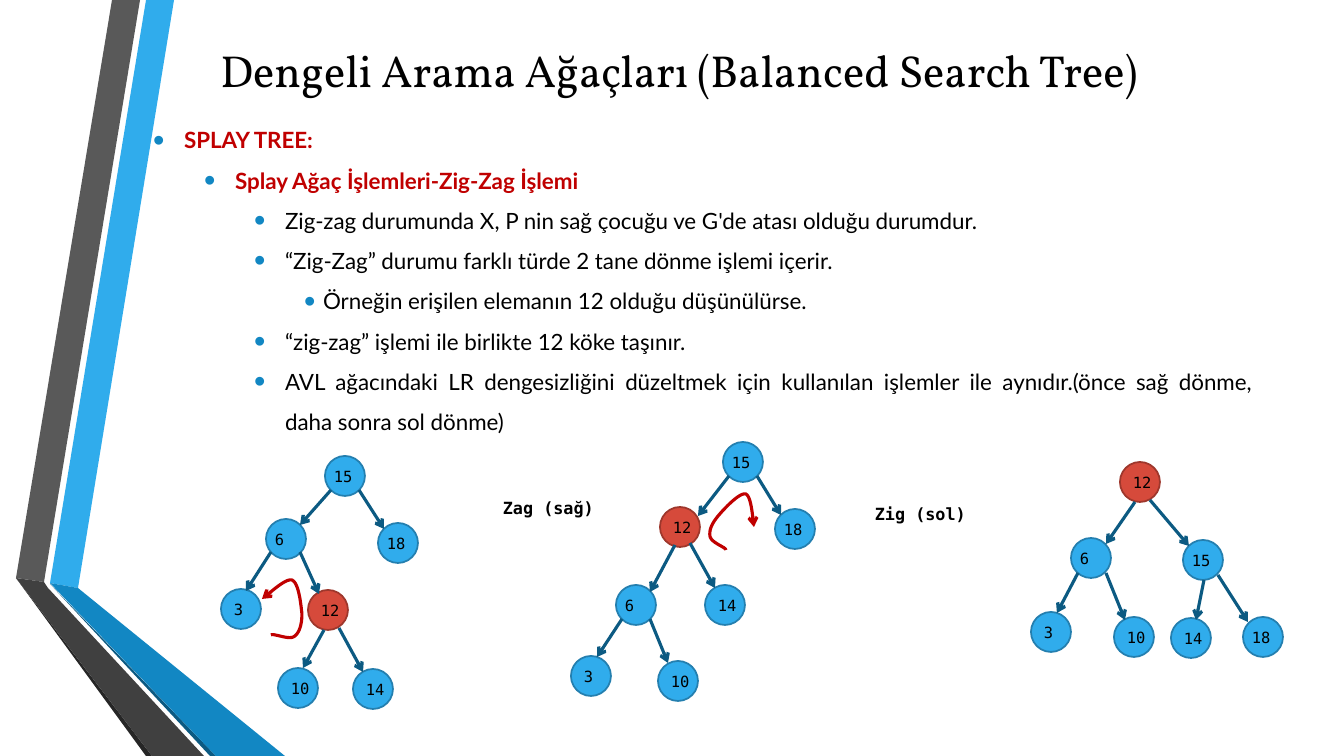
import pptx
import pptx.dml.color
import pptx.enum.shapes
import pptx.enum.text
import pptx.oxml
import pptx.oxml.ns
import pptx.util

# Content
TITLE = "Dengeli Arama Ağaçları (Balanced Search Tree)"
BULLETS = [  # level, text
    (0, "SPLAY TREE:"),
    (1, "Splay Ağaç İşlemleri-Zig-Zag İşlemi"),
    (2, "Zig-zag durumunda X, P nin sağ çocuğu ve G'de atası olduğu durumdur."),
    (2, "“Zig-Zag” durumu farklı türde 2 tane dönme işlemi içerir."),
    (3, "Örneğin erişilen elemanın 12 olduğu düşünülürse."),
    (2, "“zig-zag” işlemi ile birlikte 12 köke taşınır."),
    (2, "AVL ağacındaki LR dengesizliğini düzeltmek için kullanılan işlemler ile "
        "aynıdır.(önce sağ dönme, daha sonra sol dönme)"),
]
LEVEL_INDENTS = [(31, 31), (82, 31), (132, 31), (170, 19)]  # text indent, bullet hang
STEP_LABELS = [("Zag (sağ)", 493, 493), ("Zig (sol)", 865, 499)]

# Each tree: node centres, edges from parent to child, and the rotation arrow
TREES = [
    {
        "nodes": {15: (345, 476), 6: (286, 539), 18: (398, 543), 3: (241, 609),
                  12: (328, 610), 10: (298, 688), 14: (373, 689)},
        "edges": [(331, 490, 300, 525), (359, 490, 384, 529), (271, 552, 246, 591),
                  (300, 552, 319, 594), (324, 630, 303, 668), (339, 628, 363, 672)],
        "turn": [(271, 635), (274, 633), (290, 641), (295, 636), (300, 632), (302, 623),
                 (302, 614), (301, 605), (299, 583), (292, 580), (285, 578), (267, 596),
                 (262, 599)],
    },
    {
        "nodes": {15: (743, 462), 12: (680, 527), 18: (795, 529), 6: (636, 605),
                  14: (725, 605), 3: (591, 676), 10: (678, 681)},
        "edges": [(729, 476, 698, 516), (757, 476, 781, 515), (675, 545, 650, 592),
                  (690, 543, 715, 588), (622, 619, 597, 657), (650, 619, 668, 663)],
        "turn": [(726, 550), (726, 547), (711, 543), (710, 536), (709, 529), (713, 522),
                 (719, 515), (725, 508), (740, 492), (746, 494), (752, 497), (753, 522),
                 (754, 527)],
    },
    {
        "nodes": {12: (1140, 482), 6: (1091, 558), 15: (1203, 560), 3: (1051, 632),
                  10: (1134, 637), 14: (1191, 638), 18: (1263, 637)},
        "edges": [(1135, 502, 1106, 544), (1150, 500, 1189, 546), (1078, 573, 1057, 613),
                  (1106, 573, 1125, 620), (1204, 580, 1196, 620), (1218, 575, 1248, 622)],
        "turn": [],
    },
]
RIBBONS = [
    ("30ACEC", [(50, 583), (78, 588), (174, 0), (146, 0)]),
    ("595959", [(140, 0), (112, 0), (16, 578), (44, 582)]),
    ("262626", [(16, 578), (146, 756), (152, 756)]),
    ("0C5A82", [(50, 584), (210, 756), (216, 756)]),
    ("1287C3", [(50, 583), (216, 756), (285, 756), (78, 588)]),
    ("404040", [(204, 756), (48, 588), (44, 582), (16, 578), (152, 756)]),
]

# Style
BLACK, RED = "000000", "C00000"
MONO = "DejaVu Sans Mono"
NODE_COLORS = ("30ACEC", "247FAF")
ACCESSED, ACCESSED_COLORS = 12, ("D64A3B", "9E372C")
RADIUS = 20
LEFT_SET = (6, 15, 18)  # values written nearer the left of their node


def px(length):
    return pptx.util.Emu(round(length * 914400 / 100.8))


def color(hex_value):
    return pptx.dml.color.RGBColor.from_string(hex_value)


def write(paragraph, text, font, size, fill=BLACK, bold=False, align="LEFT"):
    paragraph.alignment = getattr(pptx.enum.text.PP_ALIGN, align)
    run = paragraph.add_run()
    run.text = text
    run.font.name, run.font.size, run.font.bold = font, pptx.util.Pt(size), bold
    run.font.color.rgb = color(fill)


def add_xml(parent, tag, **attributes):
    child = pptx.oxml.parse_xml(f"<a:{tag} {pptx.oxml.ns.nsdecls('a')}/>")
    for name, value in attributes.items():
        child.set(name, value)
    parent.append(child)
    return child


def place(shape, left, top, width, height):
    shape.left, shape.top, shape.width, shape.height = map(px, (left, top, width, height))


def style_line(line, hex_value, width, arrow=False):
    line.color.rgb = color(hex_value)
    line.width = pptx.util.Pt(width)
    if arrow:
        add_xml(line._get_or_add_ln(), "tailEnd", type="arrow")


def add_outline(points, close):
    points = [(px(x), px(y)) for x, y in points]
    builder = slide.shapes.build_freeform(*points[0])
    builder.add_line_segments(points[1:], close=close)
    shape = builder.convert_to_shape()
    shape.shadow.inherit = False
    return shape


def bezier_points(controls, steps=12):
    points = [controls[0]]
    for first in range(0, len(controls) - 1, 3):
        curve = controls[first:first + 4]
        for step in range(1, steps + 1):
            t = step / steps
            weights = ((1 - t) ** 3, 3 * t * (1 - t) ** 2, 3 * t * t * (1 - t), t ** 3)
            points.append(tuple(sum(w * p[axis] for w, p in zip(weights, curve))
                                for axis in (0, 1)))
    return points


def add_node(value, center_x, center_y):
    node = slide.shapes.add_shape(
        pptx.enum.shapes.MSO_SHAPE.OVAL, px(center_x - RADIUS), px(center_y - RADIUS),
        px(2 * RADIUS), px(2 * RADIUS))
    node.shadow.inherit = False
    fill, border = ACCESSED_COLORS if value == ACCESSED else NODE_COLORS
    node.fill.solid()
    node.fill.fore_color.rgb = color(fill)
    style_line(node.line, border, 1.25)
    frame = node.text_frame
    frame.word_wrap = True
    frame.vertical_anchor = pptx.enum.text.MSO_ANCHOR.MIDDLE
    frame.margin_top = frame.margin_right = frame.margin_bottom = 0
    frame.margin_left = px(3 if value in LEFT_SET else 7)
    write(frame.paragraphs[0], str(value), MONO, 11)


def add_edge(*ends):
    edge = slide.shapes.add_connector(
        pptx.enum.shapes.MSO_CONNECTOR.STRAIGHT, *map(px, ends))
    style_line(edge.line, "0C5A82", 2.25, arrow=True)
    add_xml(edge._element.spPr, "effectLst")


presentation = pptx.Presentation()
presentation.slide_width, presentation.slide_height = px(1344), px(756)
slide = presentation.slides.add_slide(presentation.slide_layouts[1])
title, body = slide.placeholders

# Ribbons on the left, kept behind the placeholders
for fill, corners in RIBBONS:
    ribbon = add_outline(corners, close=True)
    ribbon.fill.solid()
    ribbon.fill.fore_color.rgb = color(fill)
    ribbon.line.fill.background()
for placeholder in (title, body):
    slide.shapes._spTree.append(placeholder._element)
    placeholder.text_frame.auto_size = pptx.enum.text.MSO_AUTO_SIZE.NONE

# Title
place(title, 156, 17, 1047, 105)
title.text_frame.vertical_anchor = pptx.enum.text.MSO_ANCHOR.MIDDLE
write(title.text_frame.paragraphs[0], TITLE, "Vollkorn", 32, align="CENTER")

# Bullet list
place(body, 143, 108, 1120, 349)
for index, (level, text) in enumerate(BULLETS):
    frame = body.text_frame
    paragraph = frame.add_paragraph() if index else frame.paragraphs[0]
    heading = level < 2
    write(paragraph, text, "Lato", 16, fill=RED if heading else BLACK, bold=heading,
          align="JUSTIFY")
    paragraph.level = level
    paragraph.line_spacing = 1.5
    paragraph.space_before = paragraph.space_after = pptx.util.Pt(0)
    properties = paragraph._p.get_or_add_pPr()
    indent, hang = LEVEL_INDENTS[level]
    properties.set("marL", str(px(indent)))
    properties.set("indent", str(-px(hang)))
    add_xml(add_xml(properties, "buClr"), "srgbClr", val="1287C3")
    add_xml(properties, "buSzPct", val="145000")
    add_xml(properties, "buFont", typeface="Arial")
    add_xml(properties, "buChar", char="•")

# Step labels
for text, left, top in STEP_LABELS:
    label = slide.shapes.add_textbox(px(left), px(top), px(132), px(30))
    label.text_frame.word_wrap = True
    write(label.text_frame.paragraphs[0], text, MONO, 12, bold=True)

# Trees
for tree in TREES:
    for value, center in tree["nodes"].items():
        add_node(value, *center)
    for ends in tree["edges"]:
        add_edge(*ends)
    if tree["turn"]:
        turn = add_outline(bezier_points(tree["turn"]), close=False)
        turn.fill.background()
        style_line(turn.line, RED, 2.25, arrow=True)

presentation.save("out.pptx")
